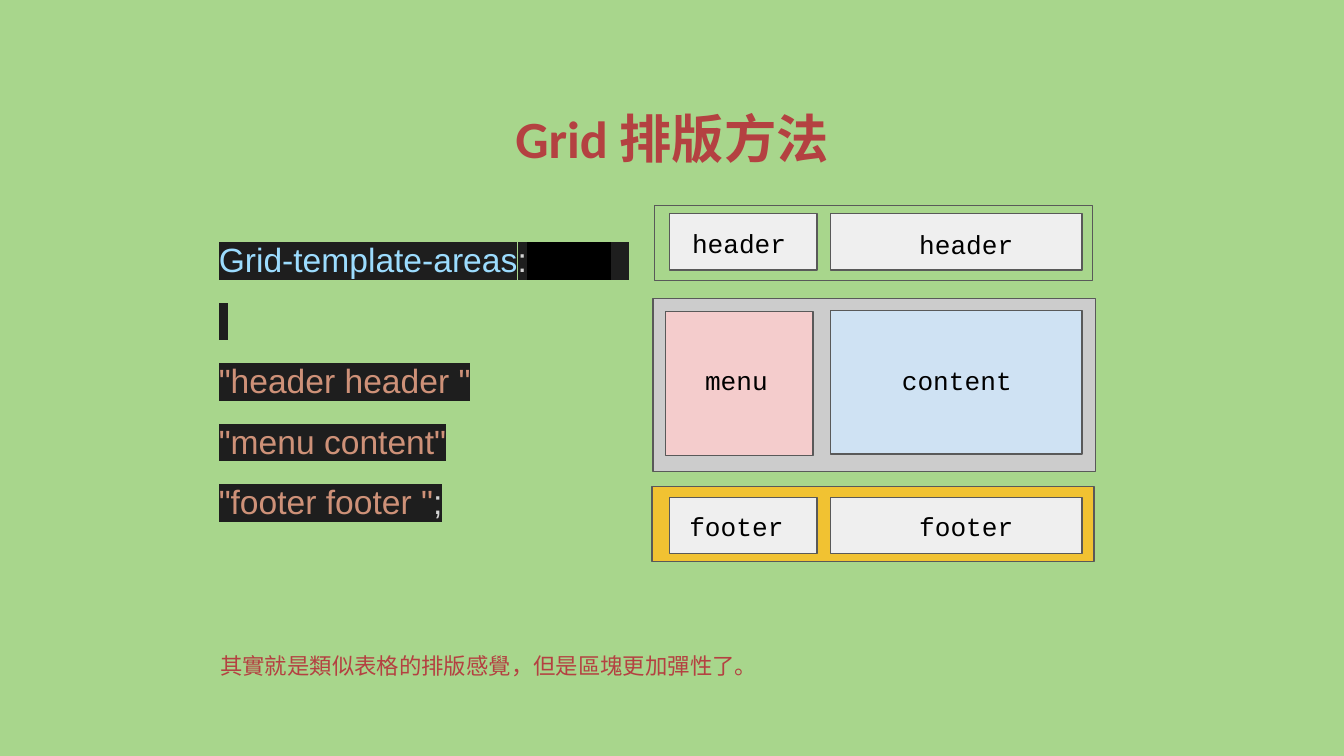
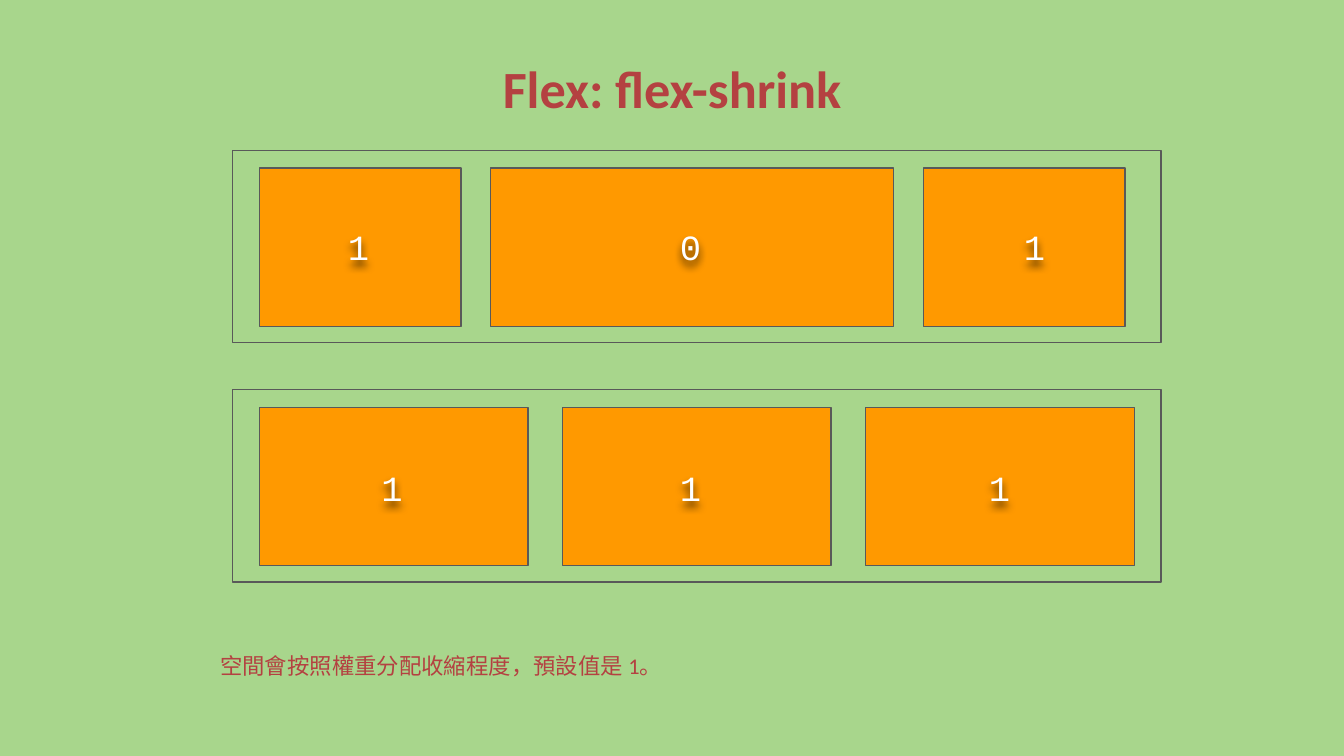
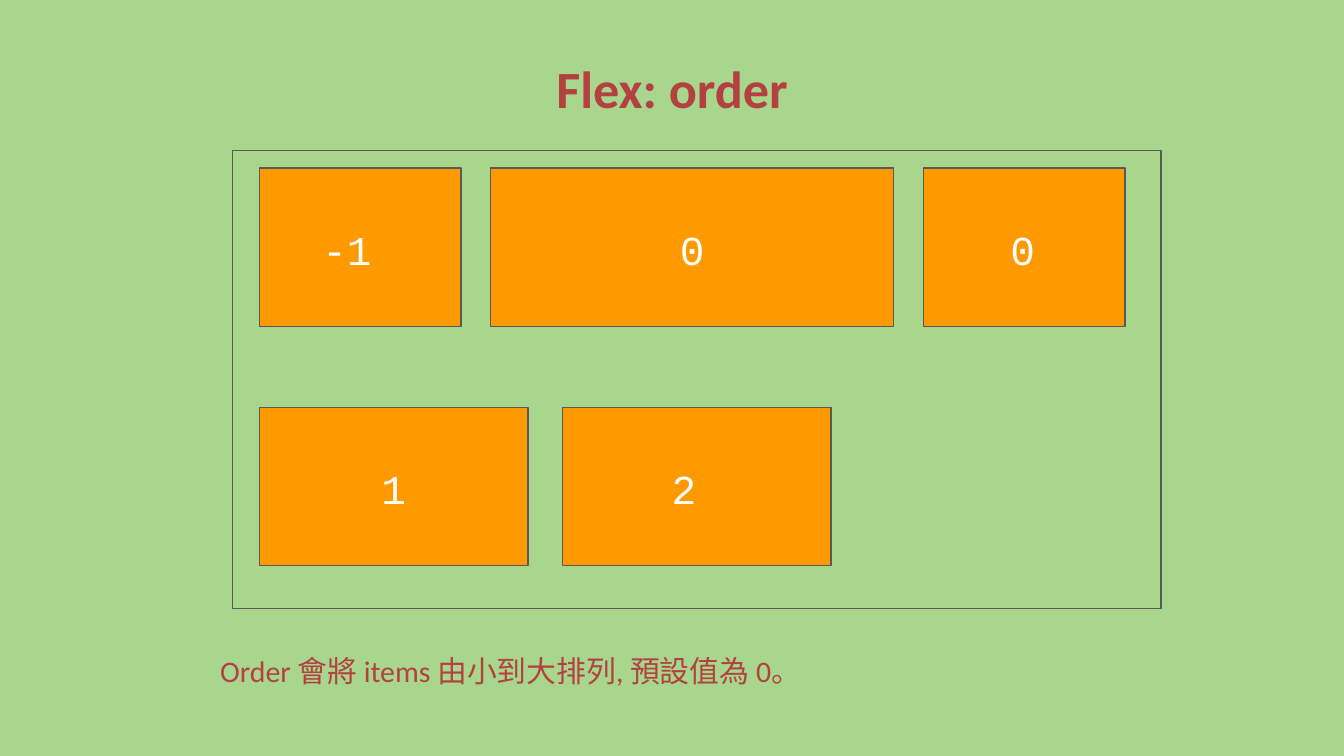
import pptx
import pptx.util
import pptx.dml.color
import pptx.enum.shapes
import pptx.enum.text
import pptx.oxml
import pptx.oxml.ns

Inches = pptx.util.Inches
Pt = pptx.util.Pt
ALIGN = pptx.enum.text.PP_ALIGN
ANCHOR = pptx.enum.text.MSO_ANCHOR

COLORS = {
    "background": "A8D68C", "accent": "B44141", "outline": "595959",
    "box": "FF9900", "digit": "FFFFFF", "label": "000000",
    "gray": "CCCCCC", "yellow": "F1C232", "pale": "EFEFEF",
    "pink": "F4CCCC", "blue": "CFE2F3",
    "property": "9CDCFE", "punctuation": "D4D4D4", "string": "CE9178",
    "editor": "1E1E1E", "black": "000000",
}

TITLE = {"size": 28, "name": "Calibri", "color": "accent", "bold": True}
CAPTION = {"size": 12, "name": "Calibri", "color": "accent"}
LABEL = {"size": 14, "name": "Courier New", "color": "label"}
CODE = {"size": 18, "name": "Arial"}
SHRINK_DIGIT = {"size": 19, "name": "Courier New", "color": "digit"}
ORDER_DIGIT = {"size": 22, "name": "Courier New", "color": "digit"}

CODE_LINES = [
    [("Grid-template-areas", "property", "editor"), (":", "punctuation", "editor"),
     ("         ", "property", "black"), ("    ", "punctuation", "editor")],
    [('"header header "', "string", "editor")],
    [('"menu content"', "string", "editor")],
    [('"footer footer "', "string", "editor"), (";", "punctuation", "editor")],
]
AREA_FRAMES = [
    (4.86, 2.22, 3.29, 1.29, "gray"),
    (4.87, 1.53, 3.26, 0.56, "background"),
    (4.85, 3.62, 3.29, 0.56, "yellow"),
]
AREA_CELLS = [
    (4.98, 1.59, 1.1, 0.42, "pale"), (6.18, 1.59, 1.87, 0.42, "pale"),
    (4.95, 2.32, 1.1, 1.07, "pink"), (6.18, 2.31, 1.87, 1.07, "blue"),
    (4.98, 3.7, 1.1, 0.42, "pale"), (6.18, 3.7, 1.87, 0.42, "pale"),
]
AREA_LABELS = [
    ("header", 4.95, 1.59), ("header", 6.64, 1.6),
    ("menu", 4.93, 2.61), ("content", 6.57, 2.61),
    ("footer", 4.93, 3.7), ("footer", 6.64, 3.7),
]

ROW_LEFT = 1.93
BOX_HEIGHT = 1.18
EQUAL_GAP = 0.51 / 2
WIDE_MIDDLE = {"top": 1.25, "widths": [1.5, 3, 1.5], "gap": 0.22}
EQUAL_THREE = {"top": 3.03, "widths": [2, 2, 2], "gap": EQUAL_GAP}
EQUAL_TWO = {"top": 3.03, "widths": [2, 2], "gap": EQUAL_GAP}

FLEX_SLIDES = [
    {
        "title": "Flex: flex-shrink",
        "caption": "空間會按照權重分配收縮程度，預設值是 1。",
        "caption_size": 12,
        "frames": [(1.12, 1.43), (2.9, 1.43)],
        "rows": [WIDE_MIDDLE, EQUAL_THREE],
        "digits": [("1", 2.49, 1.52), ("0", 4.96, 1.52), ("1", 7.52, 1.52),
                   ("1", 2.74, 3.31), ("1", 4.96, 3.31), ("1", 7.26, 3.31)],
        "digit_size": (0.37, 0.63),
        "digit_format": SHRINK_DIGIT,
        "anchor": ANCHOR.MIDDLE,
        "shadow": True,
    },
    {
        "title": "Flex: order",
        "caption": "Order 會將 items 由小到大排列, 預設值為 0。",
        "caption_size": 16,
        "frames": [(1.12, 3.41)],
        "rows": [WIDE_MIDDLE, EQUAL_TWO],
        "digits": [("-1", 2.3, 1.57), ("0", 4.96, 1.57), ("0", 7.42, 1.57),
                   ("1", 2.74, 3.35), ("2", 4.9, 3.35)],
        "digit_size": (0.57, 0.53),
        "digit_format": ORDER_DIGIT,
        "anchor": ANCHOR.TOP,
        "shadow": False,
    },
]


def rgb(color):
    return pptx.dml.color.RGBColor.from_string(COLORS[color])


def add_box(slide, left, top, width, height, color):
    shape = slide.shapes.add_shape(
        pptx.enum.shapes.MSO_SHAPE.RECTANGLE,
        Inches(left), Inches(top), Inches(width), Inches(height))
    shape.shadow.inherit = False
    shape.fill.solid()
    shape.fill.fore_color.rgb = rgb(color)
    shape.line.color.rgb = rgb("outline")
    shape.line.width = Pt(0.75)


def add_run(paragraph, text, style):
    run = paragraph.add_run()
    run.text = text
    for key, value in style.items():
        if key == "color":
            run.font.color.rgb = rgb(value)
        else:
            setattr(run.font, key, Pt(value) if key == "size" else value)
    return run


def highlight(run, color):
    fill = run.font._element.find(pptx.oxml.ns.qn("a:solidFill"))
    fill.addnext(pptx.oxml.parse_xml(
        f'<a:highlight {pptx.oxml.ns.nsdecls("a")}>'
        f'<a:srgbClr val="{COLORS[color]}"/></a:highlight>'))


def add_frame(slide, left, top, width, height, anchor=ANCHOR.TOP):
    shape = slide.shapes.add_textbox(
        Inches(left), Inches(top), Inches(width), Inches(height))
    frame = shape.text_frame
    frame.word_wrap = True
    frame.vertical_anchor = anchor
    for side in ("left", "top", "right", "bottom"):
        setattr(frame, f"margin_{side}", Inches(0.1))
    return shape


def add_text(slide, text, area, style, layout, anchor=ANCHOR.TOP):
    shape = add_frame(slide, *area, anchor)
    paragraph = shape.text_frame.paragraphs[0]
    for key, value in layout.items():
        setattr(paragraph, key, value)
    add_run(paragraph, text, style)
    return shape


def add_text_shadow(shape):
    shape._element.spPr.append(pptx.oxml.parse_xml(
        f'<a:effectLst {pptx.oxml.ns.nsdecls("a")}>'
        '<a:outerShdw blurRad="57150" dist="38100" dir="5400000" algn="bl" rotWithShape="0">'
        '<a:srgbClr val="000000"><a:alpha val="75000"/></a:srgbClr>'
        '</a:outerShdw></a:effectLst>'))


def add_slide(presentation, title, title_top, caption, caption_size):
    slide = presentation.slides.add_slide(presentation.slide_layouts[6])
    slide.background.fill.solid()
    slide.background.fill.fore_color.rgb = rgb("background")
    add_text(slide, title, (2.01, title_top, 5.98, 0.63), TITLE,
             {"alignment": ALIGN.CENTER, "line_spacing": 0.8})
    add_text(slide, caption, (1.54, 4.72, 5.99, 0.24), {**CAPTION, "size": caption_size},
             {"line_spacing": 1.15, "space_after": Pt(16)})
    return slide


def build_grid_slide(presentation):
    slide = add_slide(presentation, "Grid 排版方法", 0.78,
                      "其實就是類似表格的排版感覺，但是區塊更加彈性了。", 12)
    code = add_frame(slide, 1.53, 1.53, 3.26, 3.35).text_frame
    for index, line in enumerate(CODE_LINES):
        paragraph = code.add_paragraph() if index else code.paragraphs[0]
        paragraph.line_spacing = 1.5
        for text, color, backdrop in line:
            highlight(add_run(paragraph, text, {**CODE, "color": color}), backdrop)
    for box in AREA_FRAMES + AREA_CELLS:
        add_box(slide, *box)
    for text, left, top in AREA_LABELS:
        add_text(slide, text, (left, top, 1.1, 0.42), LABEL, {"alignment": ALIGN.CENTER})


def build_flex_slide(presentation, content):
    slide = add_slide(presentation, content["title"], 0.41,
                      content["caption"], content["caption_size"])
    for top, height in content["frames"]:
        add_box(slide, 1.73, top, 6.91, height, "background")
    for row in content["rows"]:
        left = ROW_LEFT
        for width in row["widths"]:
            add_box(slide, left, row["top"], width, BOX_HEIGHT, "box")
            left += width + row["gap"]
    for text, left, top in content["digits"]:
        shape = add_text(slide, text, (left, top, *content["digit_size"]),
                         content["digit_format"], {}, content["anchor"])
        if content["shadow"]:
            add_text_shadow(shape)


def main():
    presentation = pptx.Presentation()
    presentation.slide_width = Inches(10)
    presentation.slide_height = Inches(10 * 9 / 16)
    build_grid_slide(presentation)
    for content in FLEX_SLIDES:
        build_flex_slide(presentation, content)
    presentation.save("out.pptx")


if __name__ == "__main__":
    main()
